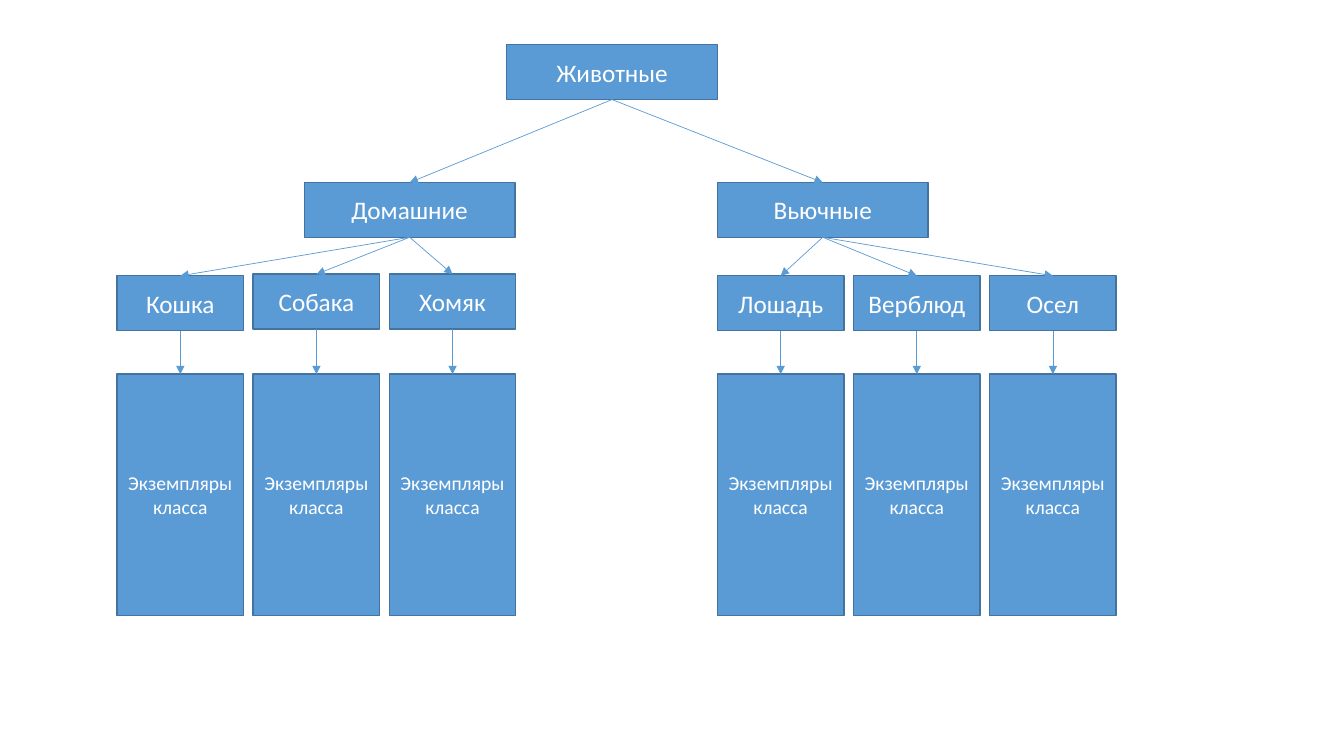
"""Builds the slide with the class tree of animals."""

from dataclasses import dataclass
from typing import Any

from lxml.etree import SubElement
from pptx import Presentation
from pptx.dml.color import RGBColor as Color
from pptx.enum.shapes import MSO_CONNECTOR as ConnectorKind, MSO_SHAPE as ShapeKind
from pptx.enum.text import MSO_ANCHOR as Anchor, PP_ALIGN as Align
from pptx.oxml.ns import qn
from pptx.shapes.autoshape import Shape
from pptx.slide import Slide
from pptx.util import Cm, Pt


@dataclass(frozen=True)
class Theme:
    font: str = "Calibri"
    fill: Color = Color(0x5B, 0x9B, 0xD5)
    border: Color = Color(0x43, 0x73, 0x9E)
    text: Color = Color(0xFF, 0xFF, 0xFF)
    class_size: Pt = Pt(18)
    instance_size: Pt = Pt(14)
    border_width: Pt = Pt(1)
    arrow_width: Pt = Pt(0.5)


@dataclass(frozen=True)
class Box:
    text: str
    left: float
    top: float
    width: float
    height: float
    size: Pt


@dataclass(frozen=True)
class Species:
    name: str
    top: float


@dataclass(frozen=True)
class Family:
    name: str
    left: float
    species_left: float
    species: tuple[Species, ...]


THEME = Theme()
GROUP_WIDTH, SPECIES_WIDTH, SPECIES_PITCH = 5.31, 3.19, 3.43
CLASS_HEIGHT, INSTANCE_HEIGHT = 1.38, 6.08
ROOT_LEFT, ROOT_TOP, FAMILY_TOP, INSTANCE_TOP = 12.77, 1.13, 4.6, 9.43
INSTANCE_TEXT = "Экземпляры класса"
FAMILIES = (
    Family("Домашние", 7.67, 2.95,
           (Species("Кошка", 6.95), Species("Собака", 6.91), Species("Хомяк", 6.91))),
    Family("Вьючные", 18.08, 18.08,
           (Species("Лошадь", 6.95), Species("Верблюд", 6.95), Species("Осел", 6.95))),
)


def apply_format(target: Any, values: dict[str, Any]) -> None:
    """Set every named attribute of the target."""
    for name, value in values.items():
        setattr(target, name, value)


def draw_box(slide: Slide, box: Box) -> Shape:
    """Draw a filled rectangle with centred text."""
    shape = slide.shapes.add_shape(
        ShapeKind.RECTANGLE, Cm(box.left), Cm(box.top), Cm(box.width), Cm(box.height))
    shape.shadow.inherit = False
    shape.fill.solid()
    shape.fill.fore_color.rgb = THEME.fill
    shape.line.color.rgb = THEME.border
    shape.line.width = THEME.border_width
    frame = shape.text_frame
    apply_format(frame, {"text": box.text, "word_wrap": True, "vertical_anchor": Anchor.MIDDLE})
    paragraph = frame.paragraphs[0]
    paragraph.alignment = Align.CENTER
    font = paragraph.runs[0].font
    apply_format(font, {"name": THEME.font, "size": box.size})
    font.color.rgb = THEME.text
    return shape


def draw_arrow(slide: Slide, parent: Shape, child: Shape) -> None:
    """Connect the bottom of the parent to the top of the child."""
    connector = slide.shapes.add_connector(ConnectorKind.STRAIGHT, 0, 0, 0, 0)
    connector.begin_connect(parent, 2)
    connector.end_connect(child, 0)
    connector.line.color.rgb = THEME.fill
    connector.line.width = THEME.arrow_width
    SubElement(connector.line._get_or_add_ln(), qn("a:tailEnd"), type="triangle")
    SubElement(connector._element.spPr, qn("a:effectLst"))


def draw_child(slide: Slide, parent: Shape, box: Box) -> Shape:
    """Draw a box together with the arrow from its parent."""
    child = draw_box(slide, box)
    draw_arrow(slide, parent, child)
    return child


def draw_family(slide: Slide, root: Shape, family: Family) -> None:
    """Draw a family, its species and their instances."""
    group = draw_child(slide, root, Box(
        family.name, family.left, FAMILY_TOP, GROUP_WIDTH, CLASS_HEIGHT, THEME.class_size))
    for index, species in enumerate(family.species):
        left = family.species_left + index * SPECIES_PITCH
        animal = draw_child(slide, group, Box(
            species.name, left, species.top, SPECIES_WIDTH, CLASS_HEIGHT, THEME.class_size))
        draw_child(slide, animal, Box(
            INSTANCE_TEXT, left, INSTANCE_TOP, SPECIES_WIDTH, INSTANCE_HEIGHT,
            THEME.instance_size))


def main() -> None:
    """Build and save the presentation."""
    presentation = Presentation()
    apply_format(presentation, {"slide_width": Cm(33.87), "slide_height": Cm(19.05)})
    slide = presentation.slides.add_slide(presentation.slide_layouts[6])
    root = draw_box(slide, Box(
        "Животные", ROOT_LEFT, ROOT_TOP, GROUP_WIDTH, CLASS_HEIGHT, THEME.class_size))
    for family in FAMILIES:
        draw_family(slide, root, family)
    presentation.save("out.pptx")


if __name__ == "__main__":
    main()
